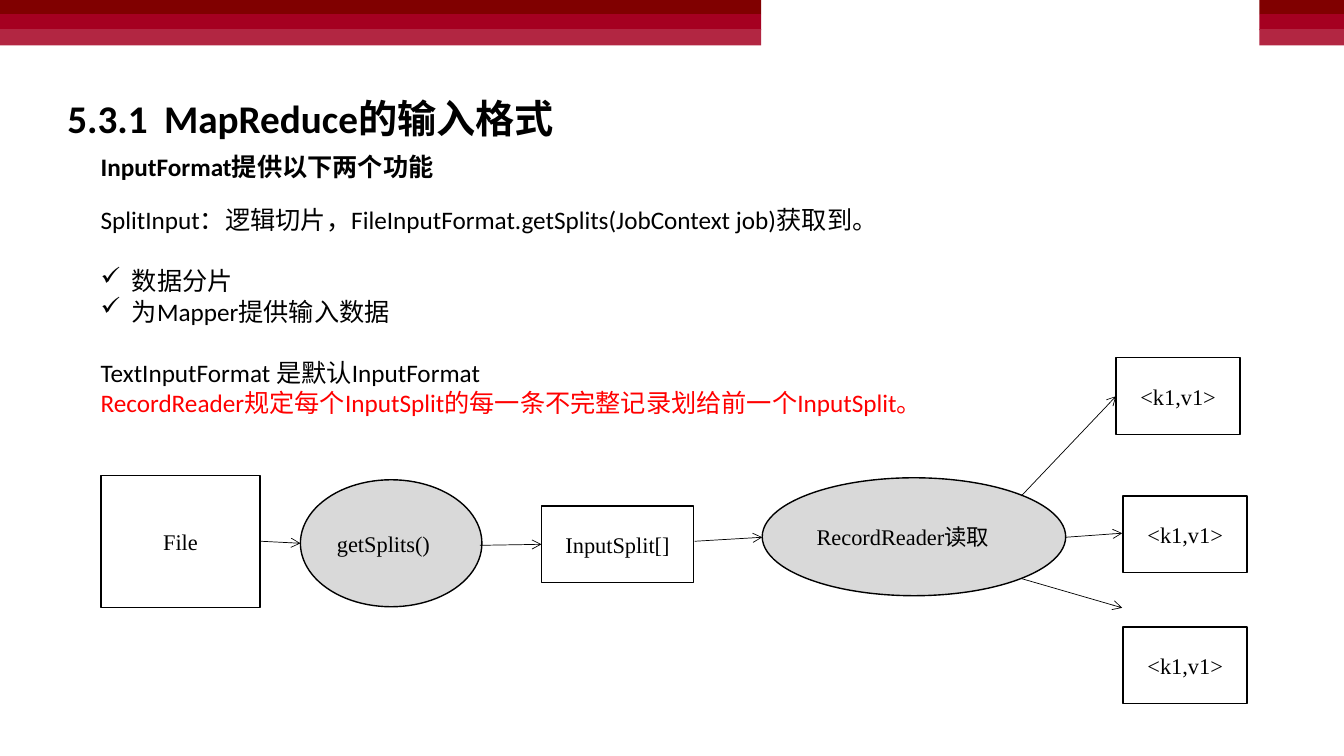
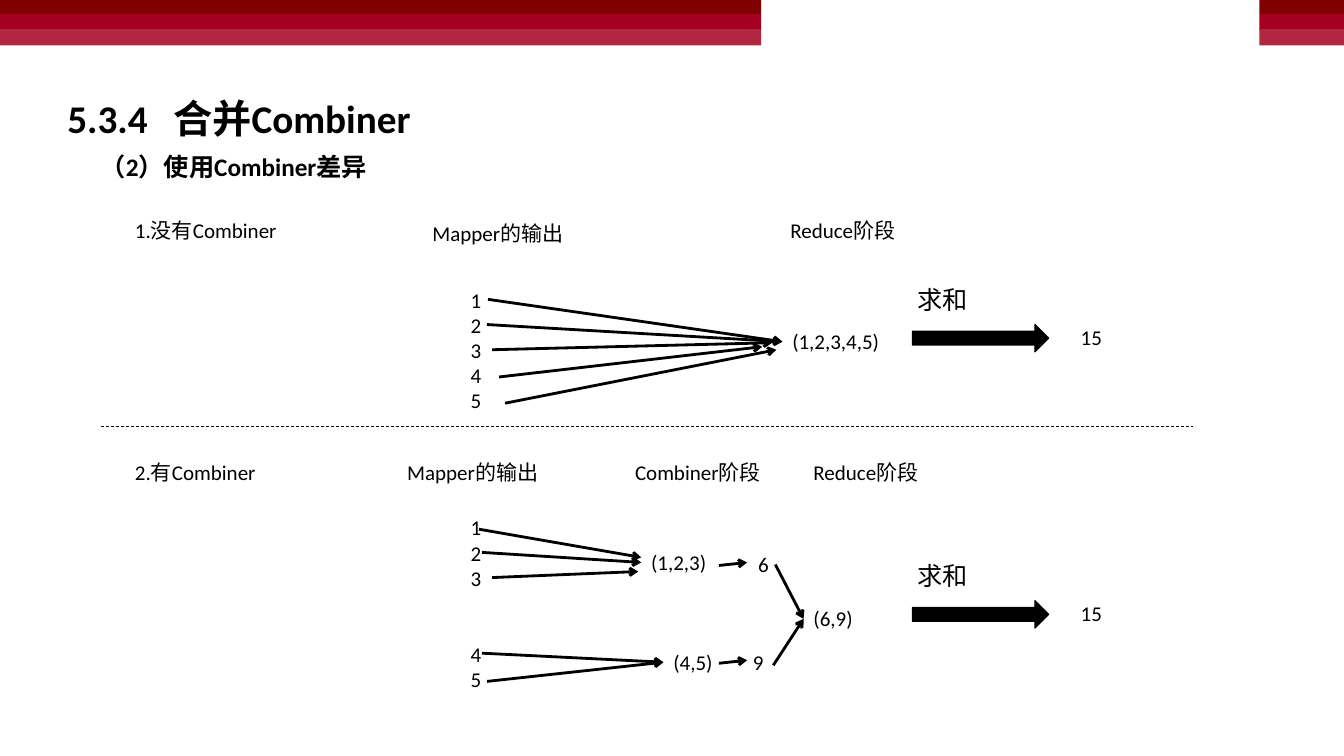
from lxml import etree
from pptx import Presentation
from pptx.dml.color import RGBColor
from pptx.enum.dml import MSO_LINE
from pptx.enum.shapes import MSO_CONNECTOR, MSO_SHAPE
from pptx.enum.text import MSO_ANCHOR, PP_ALIGN
from pptx.oxml.ns import qn
from pptx.util import Inches, Pt

BLACK = RGBColor(0x00, 0x00, 0x00)
WHITE = RGBColor(0xFF, 0xFF, 0xFF)
GREY = RGBColor(0xD9, 0xD9, 0xD9)
RED = RGBColor(0xFF, 0x00, 0x00)
MAROON = RGBColor(0x80, 0x00, 0x00)
CRIMSON = RGBColor(0xA5, 0x00, 0x21)
ROSE = RGBColor(0xB2, 0x26, 0x42)
SANS = "Calibri"
SERIF = "Times New Roman"
SLIDE_WIDTH = 13.33
STRIPES = [(0, 0.14, MAROON), (0.14, 0.16, CRIMSON), (0.29, 0.16, ROSE)]


def write(frame, text, size=15, font=SANS, color=BLACK, bold=False,
          align=PP_ALIGN.LEFT, before=0, bullet=None, tab=None):
    """Add one formatted paragraph to a text frame, filling its empty first one."""
    paragraph = frame.add_paragraph() if frame.text else frame.paragraphs[0]
    paragraph.text = text
    paragraph.alignment = align
    if before:
        paragraph.space_before = Pt(before)
    properties = paragraph._p.get_or_add_pPr()
    if bullet:
        properties.set("marL", str(Inches(0.31)))
        properties.set("indent", str(-Inches(0.31)))
        etree.SubElement(properties, qn("a:buChar"), char=bullet)
    if tab:
        stops = etree.SubElement(properties, qn("a:tabLst"))
        etree.SubElement(stops, qn("a:tab"), pos=str(Inches(tab)), algn="l")
    for run in paragraph.runs:
        run.font.size = Pt(size)
        run.font.name = font
        run.font.bold = bold
        run.font.color.rgb = color


def text_box(slide, left, top, width, height):
    """Add a wrapping text box and return its frame."""
    frame = slide.shapes.add_textbox(
        Inches(left), Inches(top), Inches(width), Inches(height)).text_frame
    frame.word_wrap = True
    return frame


def label(slide, left, top, text, width=2.43, height=0.35, **style):
    """Add a text box holding one paragraph."""
    write(text_box(slide, left, top, width, height), text, **style)


def block(slide, kind, left, top, width, height, fill, outline=None):
    """Add a flat preset shape, outlined on request."""
    shape = slide.shapes.add_shape(
        kind, Inches(left), Inches(top), Inches(width), Inches(height))
    shape.shadow.inherit = False
    shape.fill.solid()
    shape.fill.fore_color.rgb = fill
    if outline is None:
        shape.line.fill.background()
    else:
        shape.line.color.rgb = outline
        shape.line.width = Pt(1)
    return shape


def line(slide, left, top, start, end, weight=2, arrow=True, dash=None):
    """Draw a black line between two points measured from left and top."""
    connector = slide.shapes.add_connector(
        MSO_CONNECTOR.STRAIGHT,
        Inches(left + start[0]), Inches(top + start[1]),
        Inches(left + end[0]), Inches(top + end[1]))
    connector.line.color.rgb = BLACK
    connector.line.width = Pt(weight)
    if dash:
        connector.line.dash_style = dash
    if arrow:
        etree.SubElement(connector.line._get_or_add_ln(), qn("a:tailEnd"), type="arrow")
    etree.SubElement(connector._element.spPr, qn("a:effectLst"))


def add_page(deck, title, subtitle, tab):
    """Add a blank slide with the red bands, the title and the subtitle."""
    slide = deck.slides.add_slide(deck.slide_layouts[6])
    for left, right in ((0, 7.55), (12.49, SLIDE_WIDTH)):
        for top, height, color in STRIPES:
            block(slide, MSO_SHAPE.RECTANGLE, left, top, right - left, height, color)
    label(slide, 0.57, 0.89, title, 10.56, 0.57, size=28, bold=True, tab=tab)
    label(slide, 0.9, 1.45, subtitle, 9, 0.4, size=18, bold=True)
    return slide


def format_notes(slide, left, top):
    """Write the explanation of the input format."""
    notes = text_box(slide, left, top, 9.56, 2.52)
    write(notes, "SplitInput：逻辑切片，FileInputFormat.getSplits(JobContext job)获取到。", size=18)
    write(notes, "数据分片", size=18, before=22, bullet="✓")
    write(notes, "为Mapper提供输入数据", size=18, bullet="✓")
    write(notes, "TextInputFormat 是默认InputFormat", size=18, before=22)
    write(notes, "RecordReader规定每个InputSplit的每一条不完整记录划给前一个InputSplit。",
          size=18, color=RED)


def reading_flow(slide, left, top):
    """Draw the way from the file to the key-value pairs."""
    stores = [("File", 0, 1.17, 1.58, 1.31), ("InputSplit[]", 4.37, 1.47, 1.51, 0.76)]
    stores += [("<k1,v1>", x, y, 1.23, 0.76)
               for x, y in ((10.07, 0), (10.14, 1.37), (10.14, 2.67))]
    steps = [("getSplits()", 1.98, 1.21, 1.8, 1.26),
             ("RecordReader读取", 6.56, 1.19, 3.01, 1.17)]
    for nodes, kind, fill, align in (
            (stores, MSO_SHAPE.RECTANGLE, WHITE, PP_ALIGN.CENTER),
            (steps, MSO_SHAPE.OVAL, GREY, PP_ALIGN.LEFT)):
        for text, x, y, width, height in nodes:
            node = block(slide, kind, left + x, top + y, width, height, fill, BLACK)
            node.text_frame.vertical_anchor = MSO_ANCHOR.MIDDLE
            write(node.text_frame, text, size=16, font=SERIF, align=align)
    for start, end in (
            ((1.59, 1.82), (1.98, 1.84)), ((3.76, 1.86), (4.37, 1.85)),
            ((5.89, 1.82), (6.56, 1.78)), ((9.13, 1.37), (10.07, 0.38)),
            ((9.57, 1.78), (10.13, 1.74)), ((9.13, 2.19), (10.13, 2.48))):
        line(slide, left, top, start, end, weight=0.5)


def summation(slide, left, top):
    """Draw the sum arrow with its caption and its result."""
    label(slide, left, top, "求和", 1.27, 0.4, size=18)
    block(slide, MSO_SHAPE.RIGHT_ARROW, left + 0.05, top + 0.45, 1.35, 0.27, BLACK, BLACK)
    label(slide, left + 1.62, top + 0.4, "15")


def mapper_values(slide, left, top, height, group_start=None):
    """List the numbers 1 to 5, with a gap before the group start."""
    values = text_box(slide, left, top, 0.66, height)
    for number in range(1, 6):
        write(values, str(number), before=36.6 if number == group_start else 0)


def without_combiner(slide, left, top):
    """Draw the reduction without a combiner."""
    for x, y, text in ((0, 0, "1.没有Combiner"), (2.95, 0.03, "Mapper的输出"),
                       (6.5, 0, "Reduce阶段"), (6.52, 1.1, "(1,2,3,4,5)")):
        label(slide, left + x, top + y, text)
    mapper_values(slide, left + 3.33, top + 0.69, 1.36)
    for start, end in (
            ((3.6, 0.86), (6.52, 1.28)), ((3.59, 1.11), (6.52, 1.28)),
            ((3.64, 1.36), (6.42, 1.29)), ((3.71, 1.63), (6.32, 1.33)),
            ((3.77, 1.89), (6.46, 1.36))):
        line(slide, left, top, start, end)
    summation(slide, left + 7.76, top + 0.66)


def with_combiner(slide, left, top):
    """Draw the reduction with a combiner."""
    for x, text in ((0, "2.有Combiner"), (2.7, "Mapper的输出"),
                    (4.96, "Combiner阶段"), (6.73, "Reduce阶段")):
        label(slide, left + x, top, text)
    mapper_values(slide, left + 3.33, top + 0.55, 1.87, group_start=4)
    for x, y, text in ((5.12, 0.89, "(1,2,3)"), (5.34, 1.88, "(4,5)"),
                       (6.18, 0.91, "6"), (6.13, 1.88, "9"), (6.73, 1.45, "(6,9)")):
        label(slide, left + x, top + y, text, width=1.04)
    for start, end in (
            ((3.51, 0.74), (5.12, 1.02)), ((3.54, 0.97), (5.12, 1.07)),
            ((3.64, 1.22), (5.09, 1.16)), ((3.54, 1.97), (5.34, 2.06)),
            ((3.59, 2.25), (5.34, 2.06)), ((5.89, 1.1), (6.17, 1.07)),
            ((5.89, 2.07), (6.17, 2.04)), ((6.45, 1.09), (6.73, 1.63)),
            ((6.43, 2.09), (6.73, 1.63))):
        line(slide, left, top, start, end)
    summation(slide, left + 7.76, top + 1)


def main():
    """Build and save both slides."""
    deck = Presentation()
    deck.slide_width = Inches(SLIDE_WIDTH)
    deck.slide_height = Inches(7.5)

    input_format = add_page(deck, "5.3.1\tMapReduce的输入格式", "InputFormat提供以下两个功能", 0.96)
    format_notes(input_format, 0.9, 1.98)
    reading_flow(input_format, 1, 3.55)

    combiner = add_page(deck, "5.3.4\t合并Combiner", "（2）使用Combiner差异", 1.05)
    without_combiner(combiner, 1.24, 2.11)
    line(combiner, 1, 4.23, (0, 0), (10.83, 0), weight=0.5, arrow=False, dash=MSO_LINE.DASH)
    with_combiner(combiner, 1.24, 4.51)

    deck.save("out.pptx")


if __name__ == "__main__":
    main()
